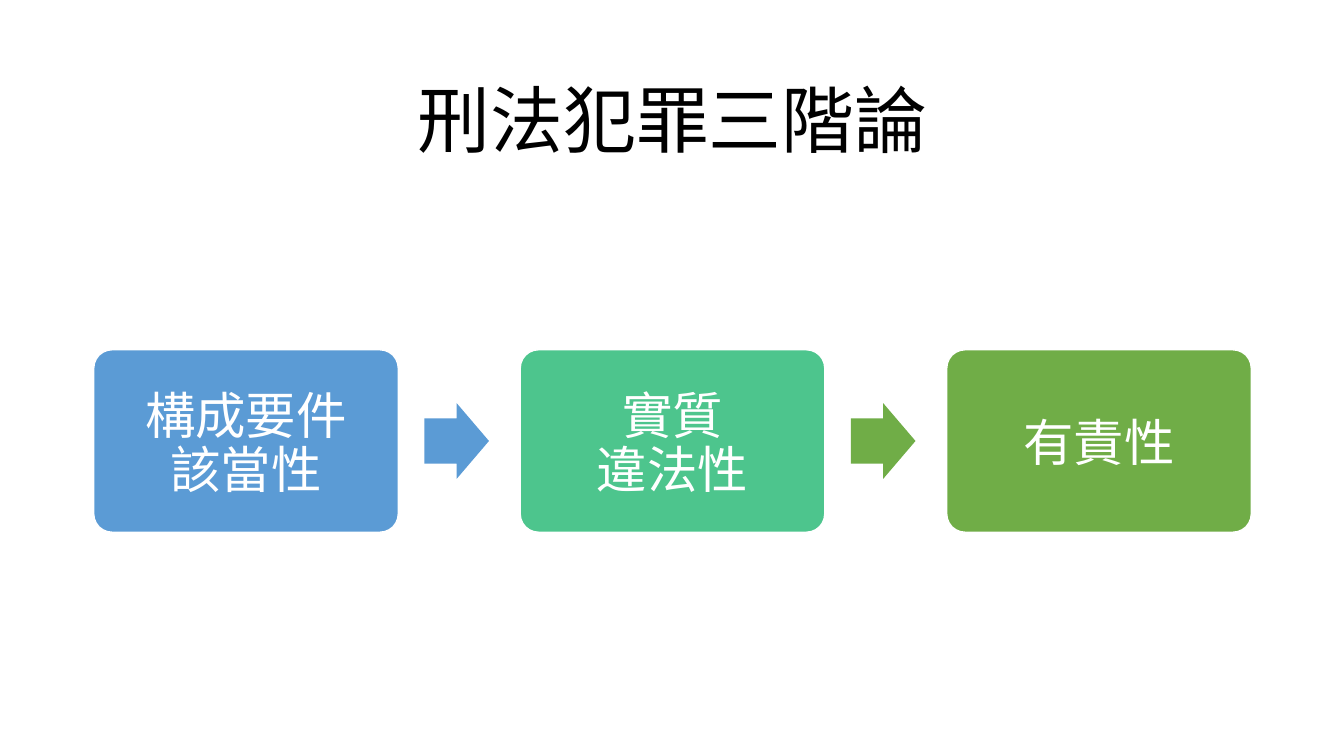
import pptx
import pptx.util
import pptx.dml.color
import pptx.enum.shapes
import pptx.enum.text
import pptx.oxml.ns
import lxml.etree

TITLE = "刑法犯罪三階論"
STAGES = [
    ("構成要件\v該當性", "5B9BD5"),
    ("實質\v違法性", "4DC58D"),
    ("有責性", "70AD47"),
]
ARROW_FILLS = ["5B9BD5", "70AD47"]
THEME = {
    "font": "Noto Sans CJK JP",
    "title_color": "000000",
    "stage_color": "FFFFFF",
    "outline": "FFFFFF",
    "title_size": 52,
    "stage_size": 36,
    "title_spacing": 0.9,
    "stage_spacing": pptx.util.Pt(38.5),
}
STAGE_LEFT, STAGE_TOP, STAGE_WIDTH, STAGE_HEIGHT = 0.93, 3.47, 3.02, 1.81
STAGE_STEP = 4.23
ARROW_OFFSET, ARROW_WIDTH, ARROW_HEIGHT = 3.28, 0.64, 0.75

Inches = pptx.util.Inches
SHAPES = pptx.enum.shapes.MSO_SHAPE


def rgb(value):
    return pptx.dml.color.RGBColor.from_string(value)


def write_text(box, text, size, color, spacing):
    frame = box.text_frame
    frame.word_wrap = True
    frame.vertical_anchor = pptx.enum.text.MSO_ANCHOR.MIDDLE
    para = frame.paragraphs[0]
    para.text = text
    para.alignment = pptx.enum.text.PP_ALIGN.CENTER
    para.line_spacing = spacing
    para.font.size = pptx.util.Pt(size)
    para.font.name = THEME["font"]
    para.font.color.rgb = rgb(color)
    qn = pptx.oxml.ns.qn
    latin = next(para._p.iter(qn("a:latin")))
    east_asian = lxml.etree.Element(qn("a:ea"), typeface=THEME["font"])
    latin.addnext(east_asian)
    return frame


def add_filled(slide, kind, left, top, width, height, fill, adjustments):
    shape = slide.shapes.add_shape(
        kind, Inches(left), Inches(top), Inches(width), Inches(height))
    shape.shadow.inherit = False
    shape.fill.solid()
    shape.fill.fore_color.rgb = rgb(fill)
    shape.line.fill.background()
    for index, value in enumerate(adjustments):
        shape.adjustments[index] = value
    return shape


def add_stage(slide, left, text, fill):
    box = add_filled(slide, SHAPES.ROUNDED_RECTANGLE, left, STAGE_TOP,
                     STAGE_WIDTH, STAGE_HEIGHT, fill, [0.1])
    box.line.color.rgb = rgb(THEME["outline"])
    box.line.width = pptx.util.Pt(1)
    frame = write_text(box, text, THEME["stage_size"],
                       THEME["stage_color"], THEME["stage_spacing"])
    frame.margin_left = frame.margin_right = Inches(0.2)
    frame.margin_top = Inches(0.28)
    frame.margin_bottom = Inches(0.2)


def main():
    deck = pptx.Presentation()
    deck.slide_width, deck.slide_height = Inches(13.33), Inches(7.5)
    slide = deck.slides.add_slide(deck.slide_layouts[6])

    title = slide.shapes.add_textbox(
        Inches(0.92), Inches(0.61), Inches(11.5), Inches(1.24))
    write_text(title, TITLE, THEME["title_size"],
               THEME["title_color"], THEME["title_spacing"])

    for index, (text, fill) in enumerate(STAGES):
        add_stage(slide, STAGE_LEFT + index * STAGE_STEP, text, fill)

    arrow_top = STAGE_TOP + (STAGE_HEIGHT - ARROW_HEIGHT) / 2
    for index, fill in enumerate(ARROW_FILLS):
        left = STAGE_LEFT + ARROW_OFFSET + index * STAGE_STEP
        add_filled(slide, SHAPES.RIGHT_ARROW, left, arrow_top,
                   ARROW_WIDTH, ARROW_HEIGHT, fill, [0.6, 0.5])

    deck.save("out.pptx")


if __name__ == "__main__":
    main()
